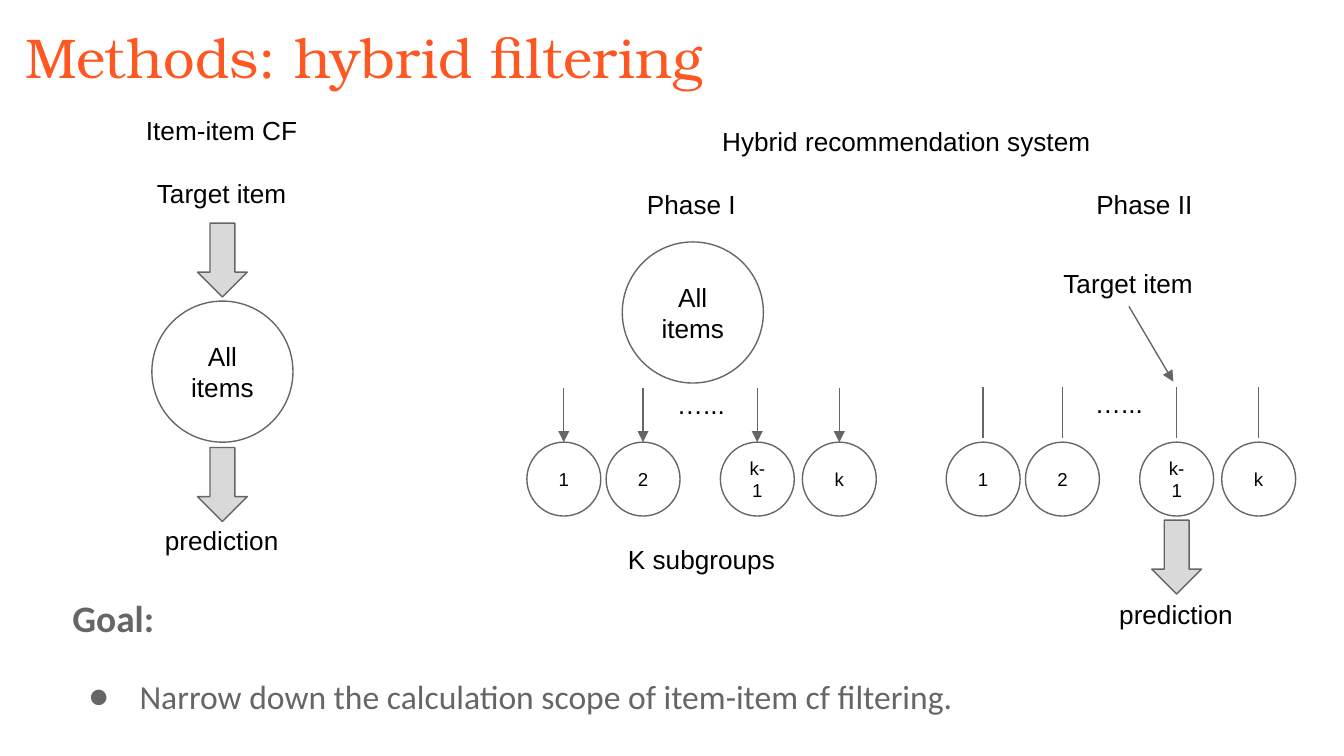
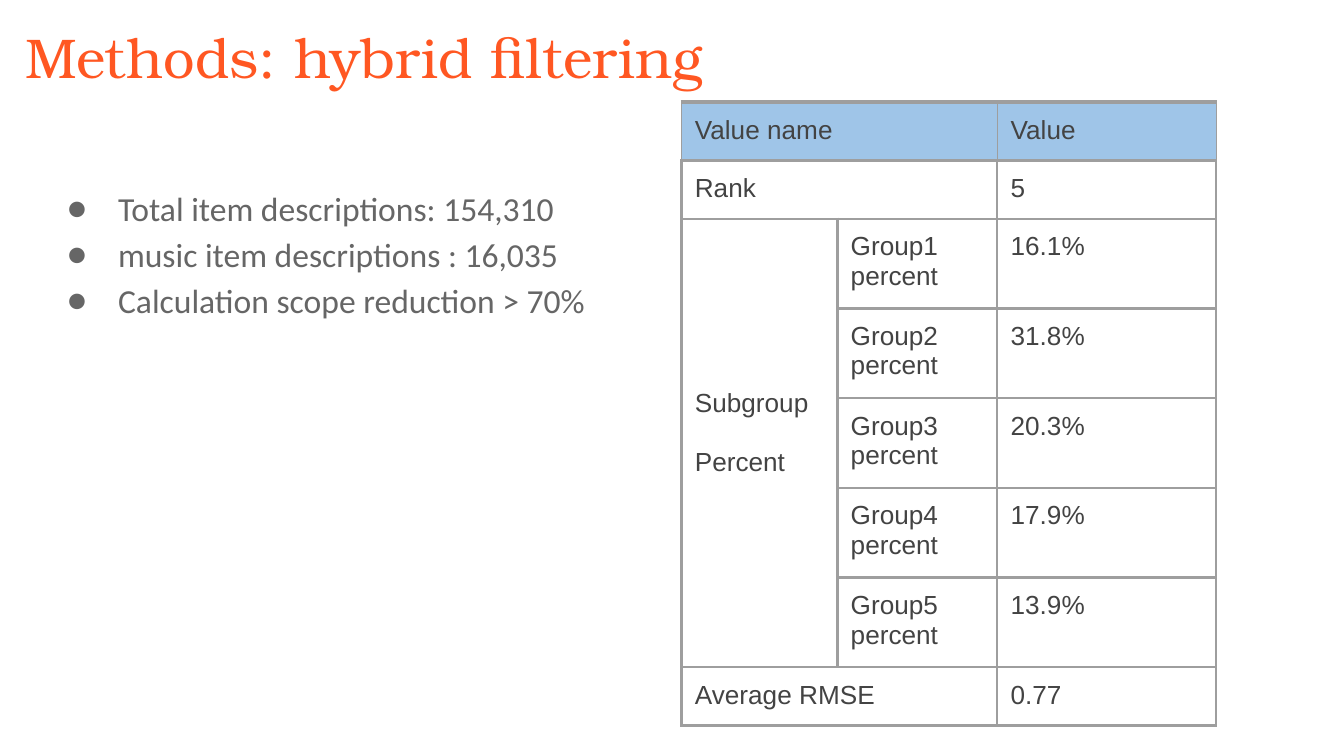
import pptx
import pptx.util
import pptx.dml.color
import pptx.enum.shapes
import pptx.enum.text
import pptx.oxml.ns
from lxml import etree

Inches, Pt = pptx.util.Inches, pptx.util.Pt
qn = pptx.oxml.ns.qn
Shape = pptx.enum.shapes.MSO_SHAPE
Align = pptx.enum.text.PP_ALIGN
Anchor = pptx.enum.text.MSO_ANCHOR

COLORS = dict(title="FF5722", body="666666", ink="000000", line="666666",
              arrow="D9D9D9", head="9FC5E8", cell="434343", edge="9E9E9E")
TITLE = "Methods: hybrid filtering"
GOAL = "Goal:"
AIMS = ["Narrow down the calculation scope of item-item cf filtering."]
FACTS = ["Total item descriptions: 154,310",
         "music item descriptions : 16,035",
         "Calculation scope reduction > 70%"]
LABELS = [
    (["Item-item CF", "Target item"], 0.75, 0.75, 1.8, 0.91),
    (["prediction"], 0.75, 3.8, 1.8, 0.39),
    (["Hybrid recommendation system"], 4.81, 0.83, 3.87, 0.39),
    (["Phase I"], 4.53, 1.3, 1.23, 0.39),
    (["Phase II"], 7.9, 1.3, 1.23, 0.39),
    (["Target item"], 7.78, 1.89, 1.23, 0.39),
    (["…..."], 4.84, 2.79, 0.75, 0.39),
    (["…..."], 7.95, 2.78, 0.75, 0.39),
    (["K subgroups"], 4.46, 3.94, 1.52, 0.39),
    (["prediction"], 7.99, 4.35, 1.52, 0.39),
]
POOLS = [(1.13, 2.24), (4.63, 1.8)]
BLOCKS = [(1.47, 1.66), (1.47, 3.33), (8.57, 3.87)]
GROUPS = [("1", 0), ("2", 0.59), ("k-1", 1.44), ("k", 2.05)]
PHASES = [(3.92, 2.89, 3.29, True), (7.04, 3.26, 2.88, False)]
SIZE = 0.55
COLS = [1.16, 1.19, 1.63]
SHARES = ["16.1%", "31.8%", "20.3%", "17.9%", "13.9%"]
ROWS = ([["Value name", "", "Value"], ["Rank", "", "5"]]
        + [["", f"Group{n} percent", share] for n, share in enumerate(SHARES, 1)]
        + [["Average RMSE", "", "0.77"]])


def rgb(name):
    return pptx.dml.color.RGBColor.from_string(COLORS[name])


def style(para, font, size, color, bold=False):
    para.font.name, para.font.size = font, Pt(size)
    para.font.color.rgb, para.font.bold = rgb(color), bold


def pad(part, side=0.1):
    part.margin_left = part.margin_right = Inches(side)
    part.margin_top = part.margin_bottom = Inches(0.1)


def write(frame, lines, size, color="ink", align=Align.CENTER, gap=0):
    for i, line in enumerate(lines):
        para = frame.add_paragraph() if i else frame.paragraphs[0]
        para.text, para.alignment = line, align
        if i and gap:
            para.space_before = Pt(gap)
        style(para, "Arial", size, color)


def box(slide, x, y, w, h):
    frame = slide.shapes.add_textbox(*map(Inches, (x, y, w, h))).text_frame
    frame.word_wrap = True
    pad(frame)
    return frame


def shape(slide, kind, x, y, w, h, fill=None):
    part = slide.shapes.add_shape(kind, *map(Inches, (x, y, w, h)))
    part.shadow.inherit = False
    if fill:
        part.fill.solid()
        part.fill.fore_color.rgb = rgb(fill)
    else:
        part.fill.background()
    part.line.color.rgb, part.line.width = rgb("line"), Pt(0.75)
    return part


def circle(slide, lines, x, y, side, size, inset=0.1):
    frame = shape(slide, Shape.OVAL, x, y, side, side).text_frame
    frame.word_wrap = True
    pad(frame, inset)
    frame.vertical_anchor = Anchor.MIDDLE
    write(frame, lines, size)


def link(slide, x1, y1, x2, y2, head):
    kind = pptx.enum.shapes.MSO_CONNECTOR.STRAIGHT
    line = slide.shapes.add_connector(kind, *map(Inches, (x1, y1, x2, y2)))
    line.line.color.rgb, line.line.width = rgb("line"), Pt(0.75)
    if head:
        etree.SubElement(line.line._get_or_add_ln(), qn("a:tailEnd"), type="triangle")
    etree.SubElement(line._element.spPr, qn("a:effectLst"))


def bullet(para, text):
    para.text, para.line_spacing = text, 1.15
    props = para._p.get_or_add_pPr()
    props.set("marL", str(Inches(0.5)))
    props.set("indent", str(Inches(-0.38)))
    color = etree.SubElement(props, qn("a:buClr"))
    etree.SubElement(color, qn("a:srgbClr"), val=COLORS["body"])
    etree.SubElement(props, qn("a:buSzPts"), val="1800")
    etree.SubElement(props, qn("a:buFont"), typeface="Calibri")
    etree.SubElement(props, qn("a:buChar"), char="●")
    style(para, "Calibri", 18, "body")


def start(deck):
    slide = deck.slides.add_slide(deck.slide_layouts[6])
    para = box(slide, 0.09, 0.07, 9.32, 0.63).paragraphs[0]
    para.text = TITLE
    style(para, "TeX Gyre Bonum", 30, "title")
    return slide


def border(cell, widths):
    props = cell._tc.get_or_add_tcPr()
    for side, width in zip("LRTB", widths):
        edge = etree.SubElement(props, qn(f"a:ln{side}"), w=str(Pt(width)))
        fill = etree.SubElement(edge, qn("a:solidFill"))
        etree.SubElement(fill, qn("a:srgbClr"), val=COLORS["edge"])


def flow(deck):
    slide = start(deck)
    frame = box(slide, 0.44, 4.28, 9.32, 1.22)
    goal = frame.paragraphs[0]
    goal.text, goal.line_spacing = GOAL, 1.15
    style(goal, "Calibri", 20, "body", True)
    for aim in AIMS:
        para = frame.add_paragraph()
        para.space_before = Pt(16)
        bullet(para, aim)
    for lines, *place in LABELS:
        write(box(slide, *place), lines, 14, gap=17)
    for x, y in POOLS:
        circle(slide, ["All", "items"], x, y, 1.05, 14)
    for x, y in BLOCKS:
        shape(slide, Shape.DOWN_ARROW, x, y, 0.37, SIZE, "arrow")
    for left, y1, y2, head in PHASES:
        for name, step in GROUPS:
            x = left + step
            circle(slide, [name], x, 3.29, SIZE, 10, 0.12)
            link(slide, x + SIZE / 2, y1, x + SIZE / 2, y2, head)
    link(slide, 8.4, 2.28, 8.73, 2.84, True)


def results(deck):
    slide = start(deck)
    frame = box(slide, 0.28, 1.25, 9.32, 3.74)
    for i, fact in enumerate(FACTS):
        bullet(frame.add_paragraph() if i else frame.paragraphs[0], fact)

    high = 0.42
    place = map(Inches, (5.07, 0.76, sum(COLS), high * len(ROWS)))
    table = slide.shapes.add_table(len(ROWS), len(COLS), *place).table
    table.first_row = table.horz_banding = False
    for col, width in zip(table.columns, COLS):
        col.width = Inches(width)
    for r, row in enumerate(ROWS):
        table.rows[r].height = Inches(high)
        for c, text in enumerate(row):
            cell = table.cell(r, c)
            pad(cell)
            write(cell.text_frame, [text], 14, "cell", Align.LEFT)
            border(cell, (1.5,) * 4 if r else (0.75, 0.75, 2.25, 1.5))
            if r:
                cell.fill.background()
            else:
                cell.fill.solid()
                cell.fill.fore_color.rgb = rgb("head")
    for r in (0, 1, len(ROWS) - 1):
        table.cell(r, 0).merge(table.cell(r, 1))
    group = table.cell(2, 0)
    group.merge(table.cell(1 + len(SHARES), 0))
    group.vertical_anchor = Anchor.MIDDLE
    group.margin_bottom = Inches(0.25)
    write(group.text_frame, ["Subgroup", "Percent"], 14, "cell", Align.LEFT, 16)


def main():
    deck = pptx.Presentation()
    deck.slide_width = Inches(10)
    deck.slide_height = deck.slide_width * 9 // 16
    flow(deck)
    results(deck)
    deck.save("out.pptx")


if __name__ == "__main__":
    main()
